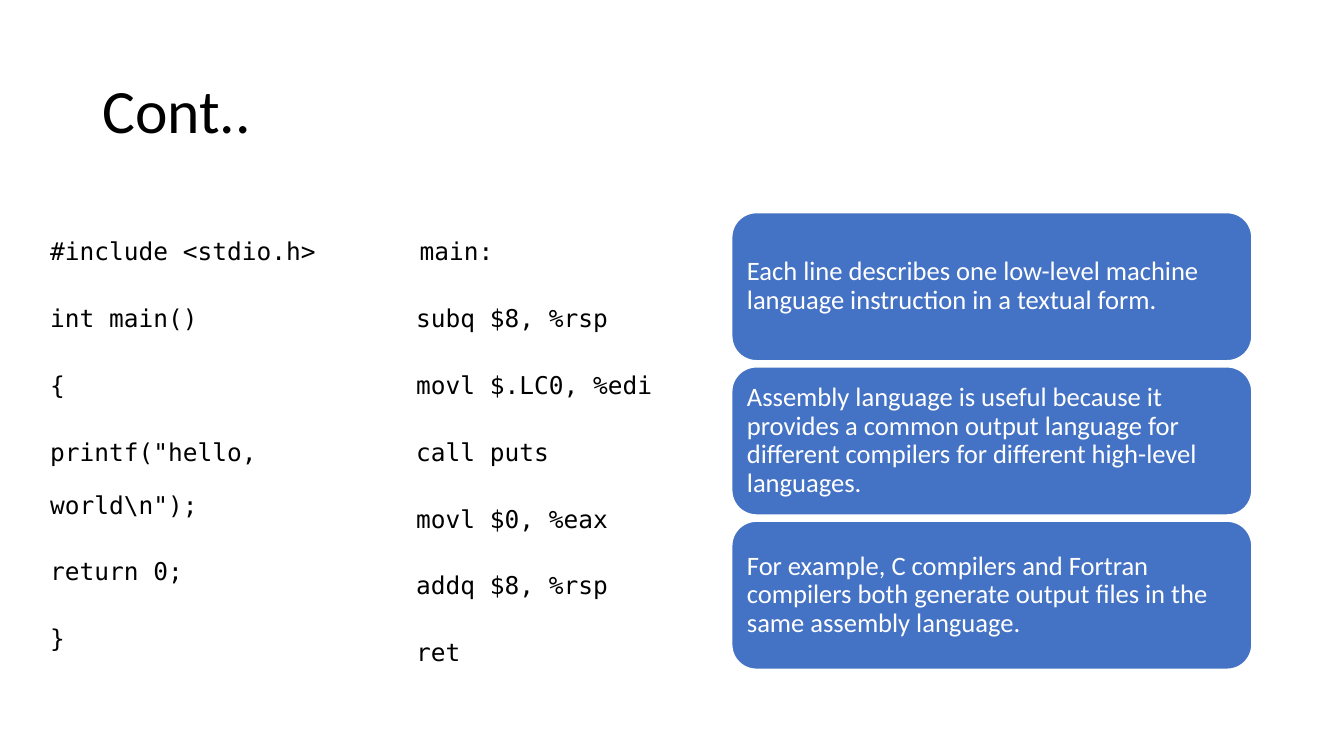
from pptx import Presentation
from pptx.dml.color import RGBColor
from pptx.enum.shapes import MSO_SHAPE
from pptx.enum.text import MSO_ANCHOR, PP_ALIGN
from pptx.util import Pt

TITLE = {"name": "Calibri", "size": Pt(44)}
CODE = {"name": "DejaVu Sans Mono", "size": Pt(17.5)}
CARD = {"name": "Calibri", "size": Pt(19)}

C_SOURCE = ["#include <stdio.h>", "int main()", "{",
            'printf("hello, world\\n");', "return 0;", "}"]
ASSEMBLY = ["main:", "subq $8, %rsp", "movl $.LC0, %edi", "call puts",
            "movl $0, %eax", "addq $8, %rsp", "ret"]
REMARKS = [
    "Each line describes one low-level machine language instruction in a textual form.",
    "Assembly language is useful because it provides a common output language for "
    "different compilers for different high-level languages.",
    "For example, C compilers and Fortran compilers both generate output files in the "
    "same assembly language.",
]


def rgb(value):
    return RGBColor.from_string(value)


def write(tf, lines, font, color, line_spacing, gap=0):
    tf.word_wrap = True
    for i, line in enumerate(lines):
        p = tf.paragraphs[0] if i == 0 else tf.add_paragraph()
        p.alignment = PP_ALIGN.LEFT
        p.line_spacing = line_spacing
        p.space_before = Pt(gap if i else 0)
        r = p.add_run()
        r.text = line
        for key, value in font.items():
            setattr(r.font, key, value)
        r.font.color.rgb = rgb(color)


def add_title(s, box, text):
    tf = s.shapes.add_textbox(*map(Pt, box)).text_frame
    tf.vertical_anchor = MSO_ANCHOR.MIDDLE
    write(tf, [text], TITLE, "000000", 0.9)


def add_code(s, box, lines, first_indent=0):
    tf = s.shapes.add_textbox(*map(Pt, box)).text_frame
    write(tf, lines, CODE, "000000", 1.8, gap=10)
    if first_indent:
        tf.paragraphs[0]._p.get_or_add_pPr().set("indent", str(Pt(first_indent)))


def add_cards(s, box, texts, gap):
    """Stack equal rounded cards that fill the box."""
    left, top, width, height = box
    card_height = (height - gap * (len(texts) - 1)) / len(texts)
    for i, text in enumerate(texts):
        y = top + i * (card_height + gap)
        sp = s.shapes.add_shape(MSO_SHAPE.ROUNDED_RECTANGLE,
                                *map(Pt, (left, y, width, card_height)))
        sp.shadow.inherit = False
        sp.fill.solid()
        sp.fill.fore_color.rgb = rgb("4472C4")
        sp.line.color.rgb = rgb("FFFFFF")
        sp.line.width = Pt(1)
        tf = sp.text_frame
        tf.vertical_anchor = MSO_ANCHOR.MIDDLE
        for side in ("left", "top", "right", "bottom"):
            setattr(tf, f"margin_{side}", Pt(5.7))
        write(tf, [text], CARD, "FFFFFF", 0.9)


def main():
    prs = Presentation()
    prs.slide_width, prs.slide_height = Pt(960), Pt(540)
    s = prs.slides.add_slide(prs.slide_layouts[6])
    add_title(s, (66, 28.8, 828, 104.4), "Cont..")
    add_code(s, (290.2, 148.3, 211.7, 342.7), ASSEMBLY, first_indent=2.5)
    add_code(s, (28.8, 148.3, 240.5, 342.7), C_SOURCE)
    add_cards(s, (522.7, 151.9, 371.5, 326.2), REMARKS, gap=4.4)
    prs.save("out.pptx")


if __name__ == "__main__":
    main()
